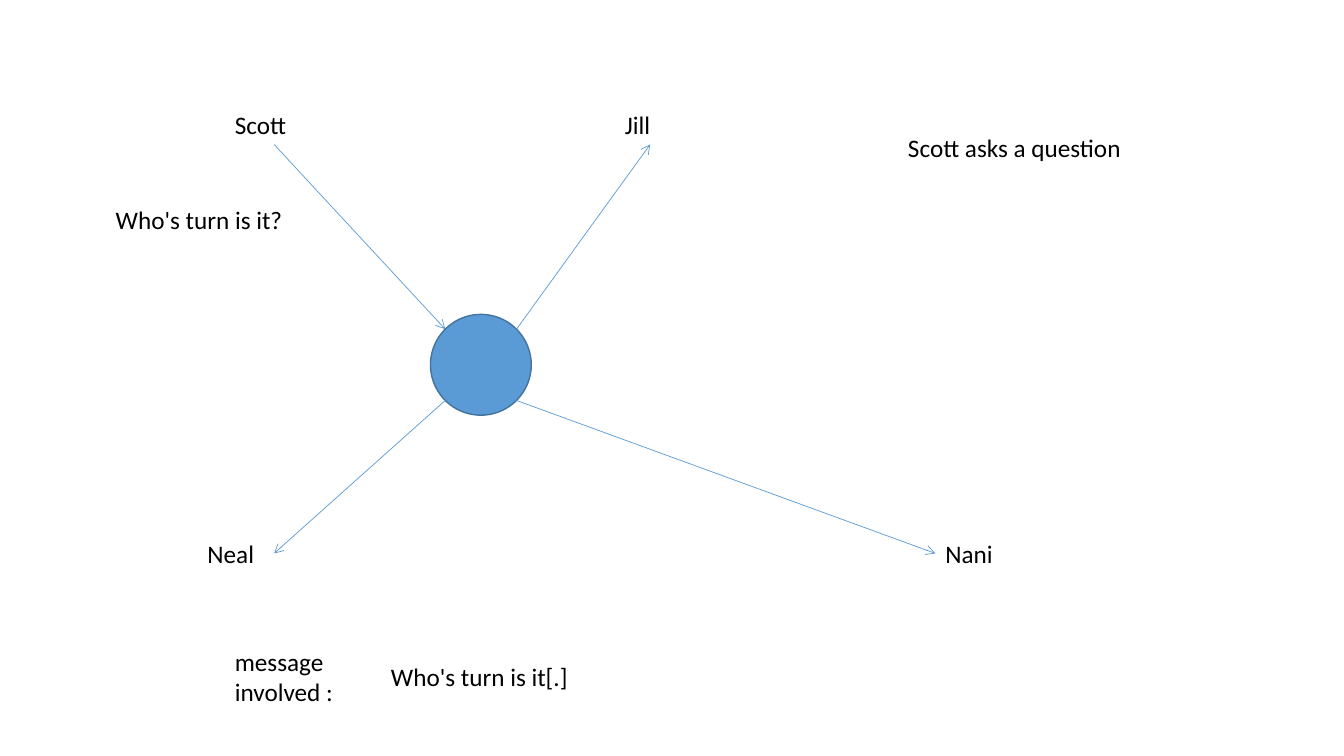
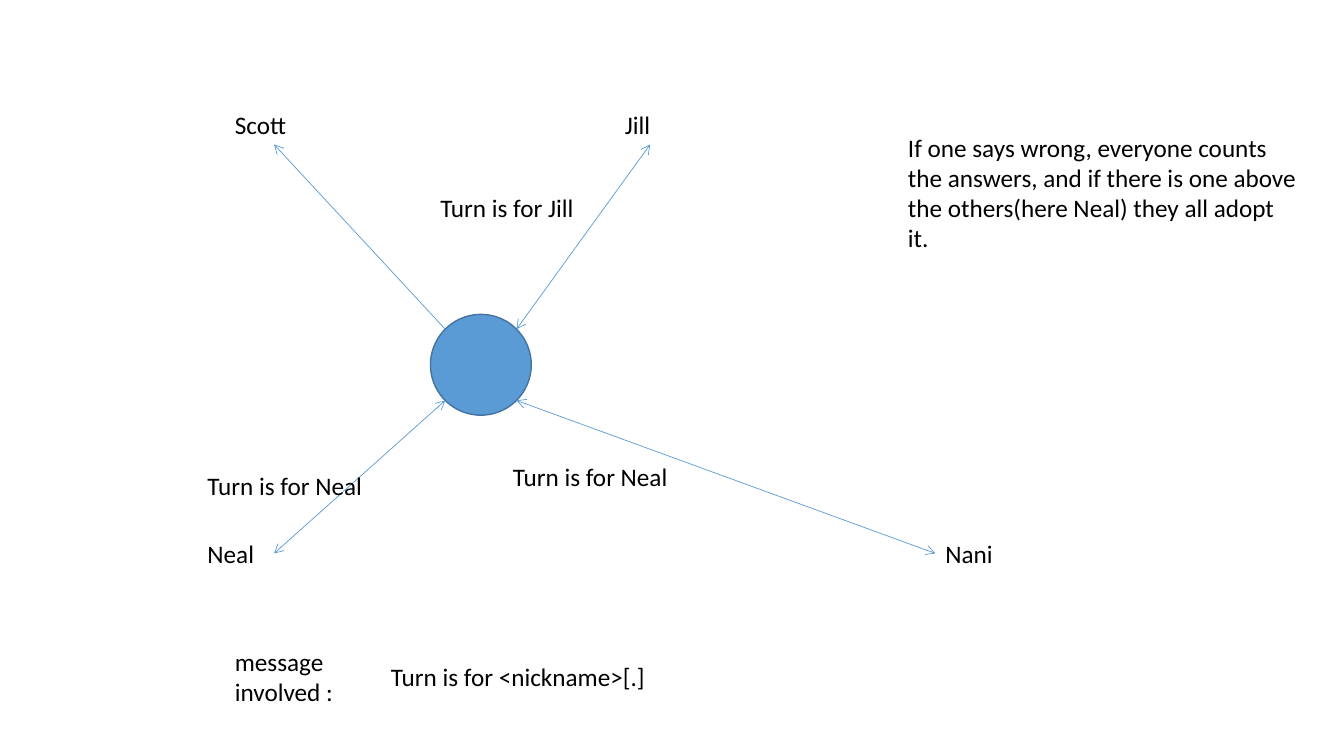
from math import sqrt

from lxml import etree
from pptx import Presentation
from pptx.dml.color import RGBColor
from pptx.enum.shapes import MSO_CONNECTOR, MSO_SHAPE
from pptx.enum.text import MSO_AUTO_SIZE
from pptx.oxml.ns import qn
from pptx.util import Pt

# Content shared by both slides
BLUE, DARK_BLUE, BLACK = "5B9BD5", "43739E", "000000"
FONT, TEXT_SIZE = "Calibri", 18
LINE_HEIGHT, TEXT_PADDING = 21.9, 7.2
HUB_CENTER, HUB_RADIUS = (343.5, 260.6), 36

# name: (label left, top, width), (arrow end x, y)
PEOPLE = {
    "Scott": ((160.6, 74.2, 70), (195.8, 103.2)),
    "Nani": ((668.2, 380.9, 88.6), (668.2, 395.3)),
    "Neal": ((141.1, 380.9, 54), (195.8, 395.3)),
    "Jill": ((439.2, 74.2, 49.7), (464.4, 103.2)),
}
CAPTION_BOX = (641.5, 90.7, 292.3)
MESSAGE_LABEL = ["message", "involved : "]
MESSAGE_LABEL_BOX = (160.6, 457.9, 123.1)
MESSAGE_BOX = (272.2, 468.7, 249.8)
ANSWER_WIDTH = 209.5

# Content of each slide; a flow is (arrow at hub, arrow at person)
TO_HUB, TO_PERSON, BOTH = (True, False), (False, True), (True, True)
SLIDES = [
    {
        "caption": "Scott asks a question",
        "caption_lines": 1,
        "flows": {"Jill": TO_PERSON, "Nani": TO_PERSON,
                  "Neal": TO_PERSON, "Scott": TO_HUB},
        "speech": [("Who's turn is it?", (75.6, 142.6, 161.3))],
        "message": "Who's turn is it[.]",
    },
    {
        "caption": "If one says wrong, everyone counts the answers, and if "
                   "there is one above the others(here Neal) they all adopt it.",
        "caption_lines": 4,
        "flows": {"Jill": BOTH, "Nani": BOTH, "Neal": BOTH, "Scott": TO_PERSON},
        "speech": [("Turn is for Jill", (307.4, 133.9, ANSWER_WIDTH)),
                   ("Turn is for Neal", (359.3, 326.2, ANSWER_WIDTH)),
                   ("Turn is for Neal", (141.1, 332.6, ANSWER_WIDTH))],
        "message": "Turn is for <nickname>[.]",
    },
]


def color(hex_value):
    return RGBColor.from_string(hex_value)


def add_text(slide, paragraphs, box, lines=1):
    left, top, width = box
    height = lines * LINE_HEIGHT + TEXT_PADDING
    frame = slide.shapes.add_textbox(
        Pt(left), Pt(top), Pt(width), Pt(height)).text_frame
    frame.word_wrap = True
    frame.auto_size = MSO_AUTO_SIZE.SHAPE_TO_FIT_TEXT
    frame.text = "\n".join(paragraphs)
    for paragraph in frame.paragraphs:
        font = paragraph.runs[0].font
        font.name, font.size = FONT, Pt(TEXT_SIZE)
        font.color.rgb = color(BLACK)


def add_hub(slide):
    left, top = (c - HUB_RADIUS for c in HUB_CENTER)
    hub = slide.shapes.add_shape(MSO_SHAPE.OVAL, Pt(left), Pt(top),
                                 Pt(2 * HUB_RADIUS), Pt(2 * HUB_RADIUS))
    hub.shadow.inherit = False
    hub.fill.solid()
    hub.fill.fore_color.rgb = color(BLUE)
    hub.line.color.rgb = color(DARK_BLUE)
    hub.line.width = Pt(1)


def add_flow(slide, person_end, arrows):
    # The line leaves the hub on the diagonal facing the person
    reach = HUB_RADIUS / sqrt(2)
    hub_end = [c + (reach if p > c else -reach)
               for c, p in zip(HUB_CENTER, person_end)]
    flow = slide.shapes.add_connector(
        MSO_CONNECTOR.STRAIGHT, *(Pt(v) for v in (*hub_end, *person_end)))
    flow.line.color.rgb = color(BLUE)
    flow.line.width = Pt(0.5)
    properties = flow.element.spPr
    for tag, shown in zip(("a:headEnd", "a:tailEnd"), arrows):
        if shown:
            etree.SubElement(properties.find(qn("a:ln")), qn(tag), type="arrow")
    etree.SubElement(properties, qn("a:effectLst"))


# Build the slides
deck = Presentation()
deck.slide_width, deck.slide_height = Pt(960), Pt(540)
for content in SLIDES:
    slide = deck.slides.add_slide(deck.slide_layouts[6])
    add_hub(slide)
    for name, (label_box, person_end) in PEOPLE.items():
        add_text(slide, [name], label_box)
        add_flow(slide, person_end, content["flows"][name])
    add_text(slide, [content["caption"]], CAPTION_BOX, content["caption_lines"])
    for words, box in content["speech"]:
        add_text(slide, [words], box)
    add_text(slide, MESSAGE_LABEL, MESSAGE_LABEL_BOX, len(MESSAGE_LABEL))
    add_text(slide, [content["message"]], MESSAGE_BOX)

deck.save("out.pptx")
